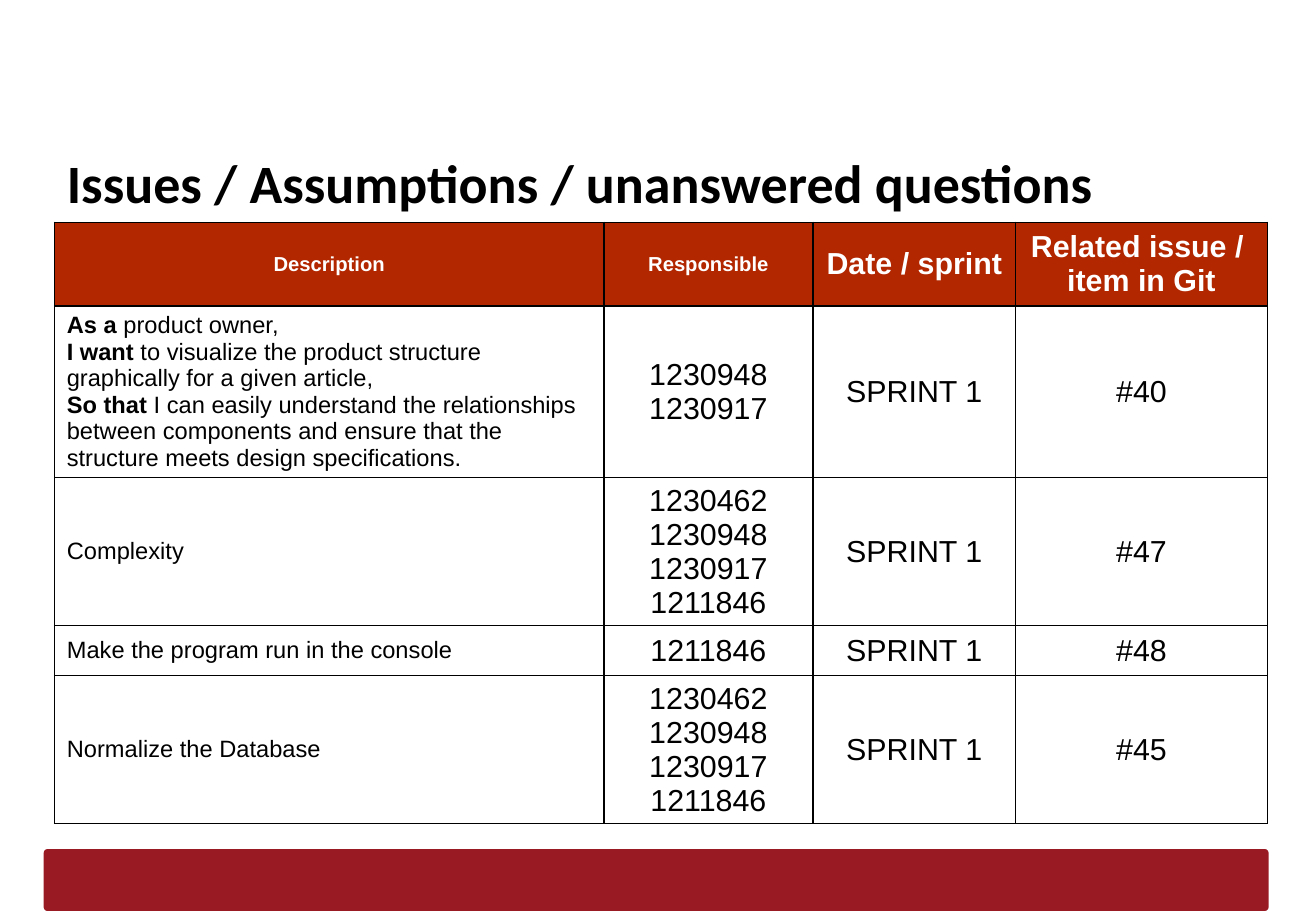
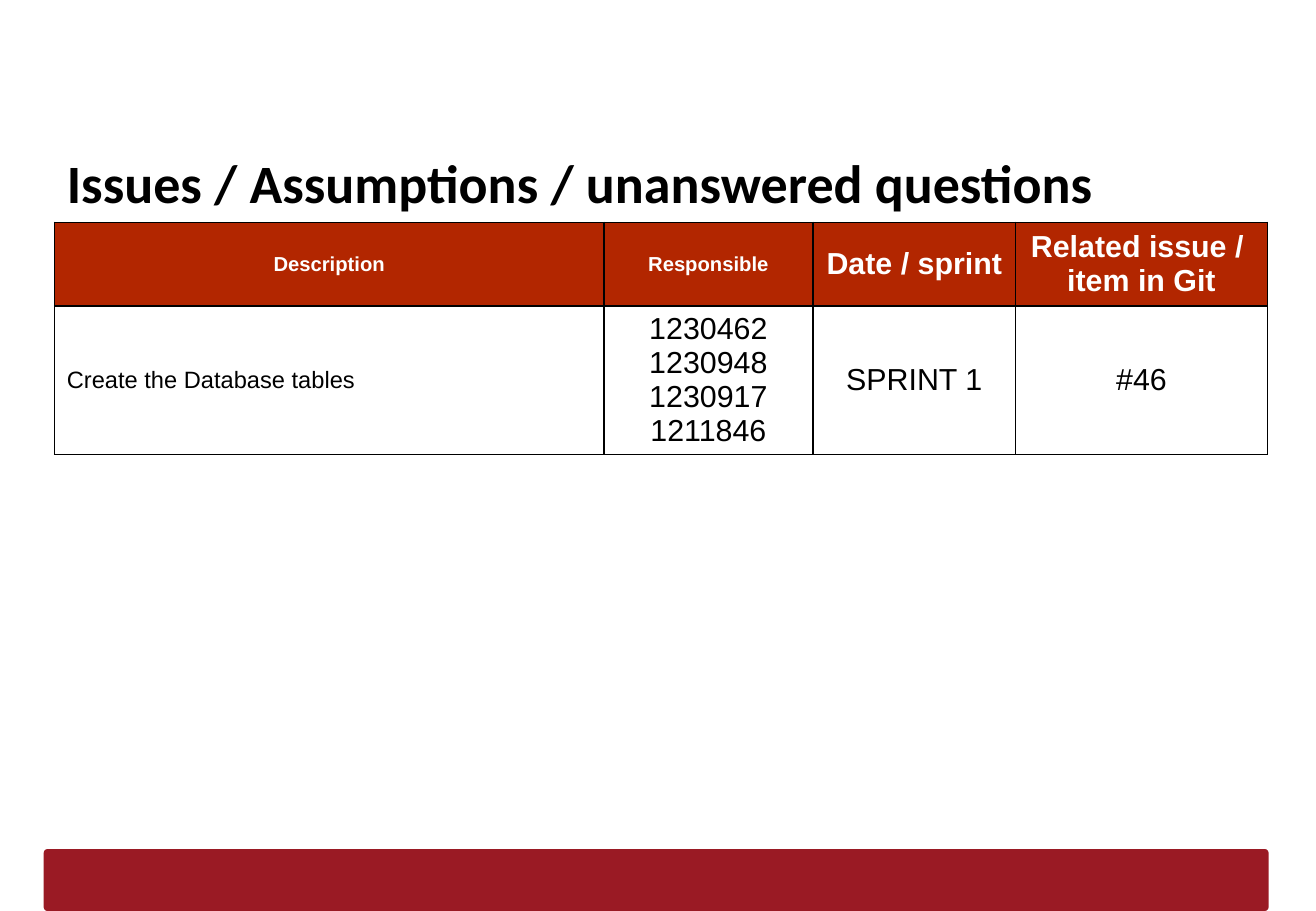
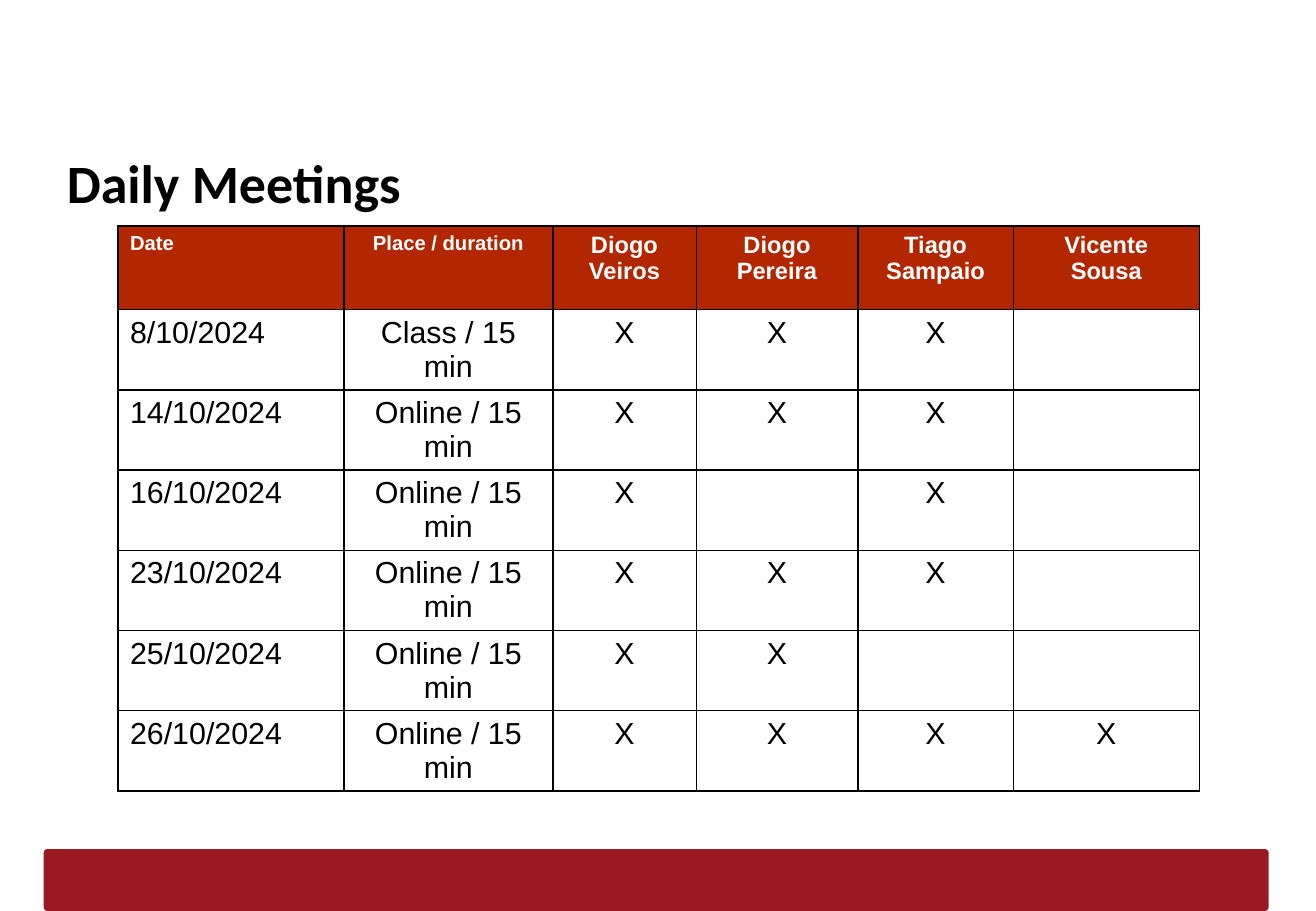
from dataclasses import dataclass

import lxml.etree
import pptx
import pptx.dml.color
import pptx.enum.shapes
import pptx.enum.text
import pptx.oxml.ns
import pptx.util

Inches = pptx.util.Inches
Pt = pptx.util.Pt
ALIGN = pptx.enum.text.PP_ALIGN
ANCHOR = pptx.enum.text.MSO_ANCHOR

COLORS = {"band": "9A1A24", "header": "B22600", "white": "FFFFFF", "black": "000000"}
TITLE_FONT = "Calibri"
TABLE_FONT = "Arial"
TITLE_ONLY_LAYOUT = 5
BAND_ID = "20"


@dataclass
class TableStyle:
    """Placement and text settings of one kind of table."""

    left: float
    top: float
    columns: list
    header_sizes: list
    body_sizes: list
    header_first_align: ALIGN
    anchor: ANCHOR


ISSUES_STYLE = TableStyle(
    0.45, 1.83, [4.52, 1.72, 1.67, 2.07],
    [12, 12, 18, 18], [14, 18, 18, 18], ALIGN.CENTER, ANCHOR.MIDDLE)
MEETINGS_STYLE = TableStyle(
    0.97, 1.86, [1.86, 1.72, 1.18, 1.33, 1.28, 1.53],
    [12, 12, 14, 14, 14, 14], [18] * 6, ALIGN.LEFT, ANCHOR.TOP)

HEADER_HEIGHT = 0.69
TEAM = "1230462\n1230948\n1230917\n1211846"
SPRINT = "SPRINT 1"
ISSUES_TITLE = "Issues / Assumptions / unanswered questions"
ISSUES_HEADER = ["Description", "Responsible", "Date / sprint", "Related issue / \nitem in Git"]
USER_STORY = [
    ("As a", " product owner,"),
    ("I want", " to visualize the product structure graphically for a given article,"),
    ("So that", " I can easily understand the relationships between components"
                " and ensure that the structure meets design specifications."),
]
OPEN_ISSUES = [
    [USER_STORY, "1230948\n1230917", SPRINT, "#40"],
    ["Complexity", TEAM, SPRINT, "#47"],
    ["Make the program run in the console", "1211846", SPRINT, "#48"],
    ["Normalize the Database", TEAM, SPRINT, "#45"],
]
DATABASE_ISSUES = [["Create the Database tables", TEAM, SPRINT, "#46"]]
MEETINGS_HEADER = ["Date", "Place / duration", "Diogo\nVeiros", "Diogo\nPereira",
                   "Tiago\nSampaio", "Vicente\nSousa"]
MEETINGS = [
    ["8/10/2024", "Class / 15 min", "X", "X", "X", ""],
    ["14/10/2024", "Online / 15 min", "X", "X", "X", ""],
    ["16/10/2024", "Online / 15 min", "X", "", "X", ""],
    ["23/10/2024", "Online / 15 min", "X", "X", "X", ""],
    ["25/10/2024", "Online / 15 min", "X", "X", "", ""],
    ["26/10/2024", "Online / 15 min", "X", "X", "X", "X"],
]


def rgb(name):
    """Return the named colour."""
    return pptx.dml.color.RGBColor.from_string(COLORS[name])


def format_font(font, name, size, color, bold):
    """Set the family, size, colour and weight of a font."""
    font.name = name
    font.size = Pt(size)
    font.color.rgb = rgb(color)
    font.bold = bold


def add_run(paragraph, text, name, size, color, bold):
    """Add one formatted run to a paragraph."""
    run = paragraph.add_run()
    run.text = text
    format_font(run.font, name, size, color, bold)


def add_master_band(presentation, slide):
    """Draw the bottom band and place it on the slide master."""
    band = slide.shapes.add_shape(
        pptx.enum.shapes.MSO_SHAPE.ROUNDED_RECTANGLE,
        Inches(0.36), Inches(6.99), Inches(10.08), Inches(0.51))
    band.adjustments[0] = 0.06
    band.shadow.inherit = False
    band.fill.solid()
    band.fill.fore_color.rgb = rgb("band")
    band.line.fill.background()
    band.element.xpath("p:nvSpPr/p:cNvPr")[0].set("id", BAND_ID)
    presentation.slide_master.shapes.element.append(band.element)


def add_titled_slide(presentation, title):
    """Add a slide and write its title in the title placeholder."""
    slide = presentation.slides.add_slide(presentation.slide_layouts[TITLE_ONLY_LAYOUT])
    shape = slide.shapes.title
    shape.left, shape.top = Inches(0.45), Inches(1.09)
    shape.width, shape.height = Inches(9.89), Inches(0.63)
    frame = shape.text_frame
    frame.word_wrap = True
    frame.auto_size = pptx.enum.text.MSO_AUTO_SIZE.NONE
    frame.vertical_anchor = ANCHOR.TOP
    frame.margin_left = frame.margin_right = frame.margin_bottom = Inches(0.1)
    frame.margin_top = Inches(0.14)
    paragraph = frame.paragraphs[0]
    paragraph.alignment = ALIGN.LEFT
    add_run(paragraph, title, TITLE_FONT, 32, "black", True)
    return slide


def add_borders(cell):
    """Give a cell a thin black line on each side."""
    properties = cell._tc.get_or_add_tcPr()
    qn = pptx.oxml.ns.qn
    for side in ("a:lnL", "a:lnR", "a:lnT", "a:lnB"):
        line = lxml.etree.SubElement(properties, qn(side), w=str(Pt(1)))
        fill = lxml.etree.SubElement(line, qn("a:solidFill"))
        lxml.etree.SubElement(fill, qn("a:srgbClr"), val=COLORS["black"])


def write_story(paragraph, story, size):
    """Write lines that each open with bold words."""
    for index, (lead, rest) in enumerate(story):
        if index:
            paragraph.add_line_break()
        add_run(paragraph, lead, TABLE_FONT, size, "black", True)
        add_run(paragraph, rest, TABLE_FONT, size, "black", False)


def write_cell(cell, content, size, color, bold, align):
    """Write a story, or one paragraph for each line of text."""
    frame = cell.text_frame
    if isinstance(content, list):
        write_story(frame.paragraphs[0], content, size)
        return
    for index, text in enumerate(content.split("\n")):
        paragraph = frame.add_paragraph() if index else frame.paragraphs[0]
        paragraph.alignment = align
        if text:
            add_run(paragraph, text, TABLE_FONT, size, color, bold)
        else:
            format_font(paragraph.font, TABLE_FONT, size, color, bold)


def add_table(slide, style, header, body, body_heights):
    """Add a bordered table with a coloured header row."""
    heights = [HEADER_HEIGHT, *body_heights]
    table = slide.shapes.add_table(
        len(heights), len(header), Inches(style.left), Inches(style.top),
        Inches(sum(style.columns)), Inches(sum(heights))).table
    table.horz_banding = False
    for column, width in zip(table.columns, style.columns):
        column.width = Inches(width)
    for row, height in zip(table.rows, heights):
        row.height = Inches(height)
    for row_index, contents in enumerate([header, *body]):
        is_header = row_index == 0
        sizes = style.header_sizes if is_header else style.body_sizes
        first_align = style.header_first_align if is_header else ALIGN.LEFT
        for column_index, content in enumerate(contents):
            cell = table.cell(row_index, column_index)
            add_borders(cell)
            cell.vertical_anchor = style.anchor
            cell.fill.solid()
            cell.fill.fore_color.rgb = rgb("header" if is_header else "white")
            write_cell(cell, content, sizes[column_index],
                       "white" if is_header else "black", is_header,
                       ALIGN.CENTER if column_index else first_align)


def main():
    """Build the three slides and save them."""
    presentation = pptx.Presentation()
    presentation.slide_width = Inches(10.83)
    presentation.slide_height = Inches(7.5)

    open_issues = add_titled_slide(presentation, ISSUES_TITLE)
    add_master_band(presentation, open_issues)
    add_table(open_issues, ISSUES_STYLE, ISSUES_HEADER, OPEN_ISSUES, [1.41, 1.22, 0.41, 1.22])

    database_issues = add_titled_slide(presentation, ISSUES_TITLE)
    add_table(database_issues, ISSUES_STYLE, ISSUES_HEADER, DATABASE_ISSUES, [1.22])

    meetings = add_titled_slide(presentation, "Daily Meetings")
    add_table(meetings, MEETINGS_STYLE, MEETINGS_HEADER, MEETINGS, [0.66] * len(MEETINGS))

    presentation.save("out.pptx")


if __name__ == "__main__":
    main()
